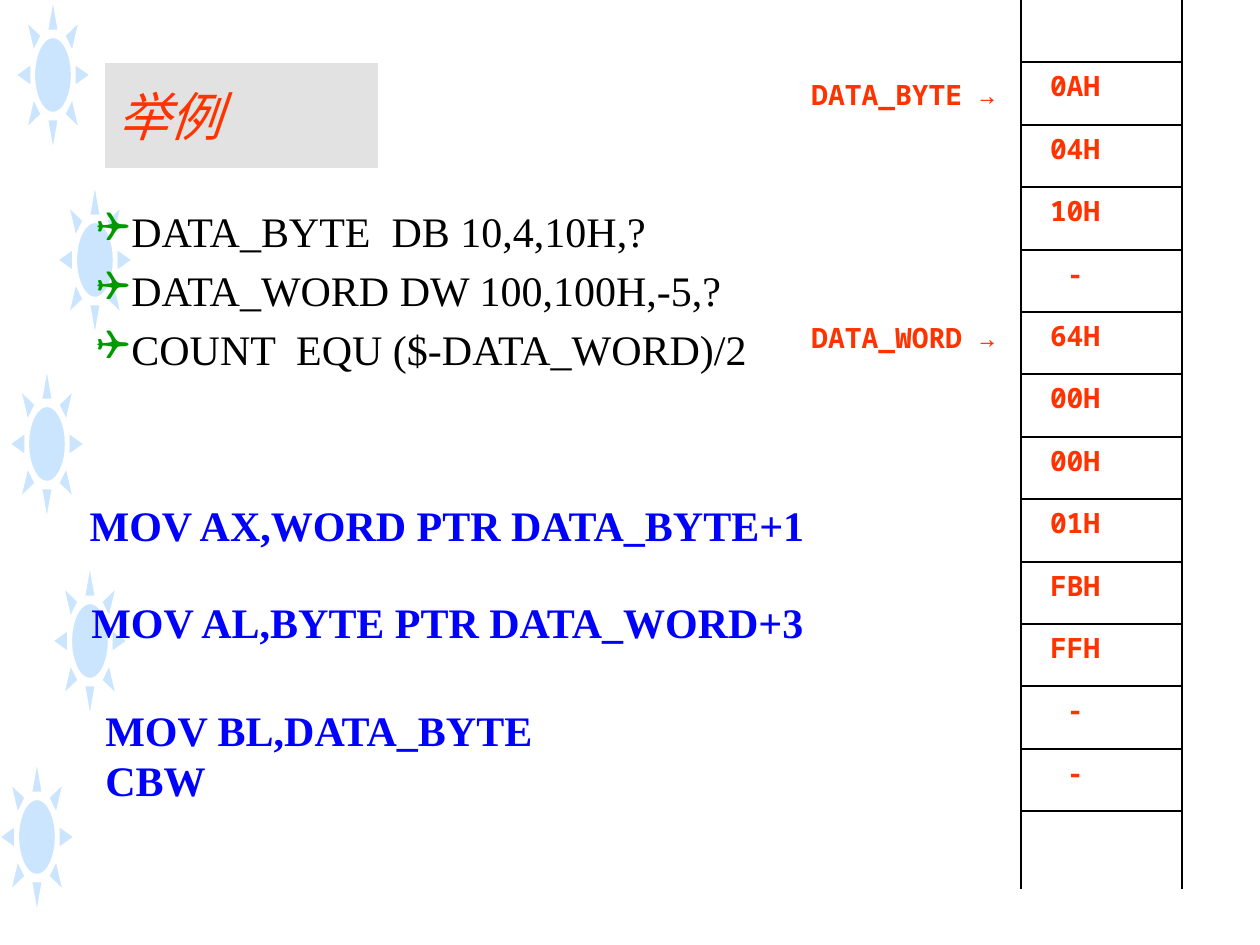
from lxml.etree import SubElement
from pptx import Presentation
from pptx.dml.color import RGBColor
from pptx.enum.shapes import MSO_CONNECTOR, MSO_SHAPE
from pptx.enum.text import MSO_ANCHOR, PP_ALIGN
from pptx.oxml.ns import qn
from pptx.util import Pt

# Content
TITLE = "举例"
DEFINITIONS = [
    "DATA_BYTE  DB 10,4,10H,?",
    "DATA_WORD DW 100,100H,-5,?",
    "COUNT  EQU ($-DATA_WORD)/2",
]
MEMORY = ["0AH", "04H", "10H", "-", "64H", "00H",
          "00H", "01H", "FBH", "FFH", "-", "-"]
LABELS = [("DATA_BYTE →", 71), ("DATA_WORD →", 314)]
CENTRED_CODE = [
    ("MOV AX,WORD PTR DATA_BYTE+1", (72, 493, 750, 63)),
    ("MOV AL,BYTE PTR DATA_WORD+3", (74, 590, 747, 63)),
]
LAST_CODE = ["MOV BL,DATA_BYTE", "CBW"]
SUNS = [(16, 0), (58, 185), (10, 369), (53, 566), (0, 762)]

# Geometry in px and look
PX = 914400 // 126
STACK_LEFT, STACK_WIDTH = 1021, 161
ROW_HEIGHT = 62.4
TAIL = 78
CHAR = 17
COLORS = {"sun": "99CCFF", "white": "FFFFFF", "title": "B2B2B2",
          "red": "FF3300", "green": "009900", "blue": "0000FF",
          "black": "000000"}
SERIF, MONO = "Times New Roman", "Noto Sans Mono"

deck = Presentation()
deck.slide_width, deck.slide_height = 1260 * PX, 945 * PX
page = deck.slides.add_slide(deck.slide_layouts[6])


def rgb(name):
    return RGBColor.from_string(COLORS[name])


def add_box(kind, area, fill=None, opacity=100, line=None, weight=1):
    box = page.shapes.add_shape(kind, *(v * PX for v in area))
    box.shadow.inherit = False
    if fill:
        box.fill.solid()
        box.fill.fore_color.rgb = rgb(fill)
        if opacity < 100:
            color = box.fill._xPr.find(qn("a:solidFill"))[0]
            SubElement(color, qn("a:alpha"), val=str(opacity * 1000))
    else:
        box.fill.background()
    if line:
        box.line.color.rgb = rgb(line)
        box.line.width = Pt(weight)
    else:
        box.line.fill.background()
    return box


def add_bullet(para, symbol, color, indent):
    props = para._p.get_or_add_pPr()
    props.set("marL", str(indent * PX))
    props.set("indent", str(-indent * PX))
    bullet_color = SubElement(props, qn("a:buClr"))
    SubElement(bullet_color, qn("a:srgbClr"), val=COLORS[color])
    SubElement(props, qn("a:buChar"), char=symbol)


def write(lines, area=None, box=None, font=SERIF, size=24, color="black",
          bold=False, italic=False, align=PP_ALIGN.LEFT, wrap=True,
          anchor=MSO_ANCHOR.TOP, inset=None, after=0, bullet=None):
    if box is None:
        box = page.shapes.add_textbox(*(v * PX for v in area))
    frame = box.text_frame
    frame.word_wrap = wrap
    frame.vertical_anchor = anchor
    if inset is not None:
        frame.margin_left = inset * PX
    for number, line in enumerate(lines):
        para = frame.add_paragraph() if number else frame.paragraphs[0]
        para.alignment = align
        para.space_after = Pt(after)
        if bullet:
            add_bullet(para, bullet, "green", 35)
        span = para.add_run()
        span.text = line
        span.font.name, span.font.size = font, Pt(size)
        span.font.bold, span.font.italic = bold, italic
        span.font.color.rgb = rgb(color)


# Suns down the left edge
for left, top in SUNS:
    add_box(MSO_SHAPE.SUN, (left, top, 74, 150), fill="sun", opacity=50,
            line="white", weight=0.75)

# Title and data definitions
title_box = add_box(MSO_SHAPE.RECTANGLE, (105, 63, 273, 105),
                    fill="title", opacity=37)
write([TITLE], box=title_box, size=30, color="red", italic=True,
      anchor=MSO_ANCHOR.MIDDLE)
write(DEFINITIONS, (84, 199, 1071, 567), after=5, bullet="✈")

# Memory cells
edges = [round(ROW_HEIGHT * (row + 1)) for row in range(len(MEMORY) + 1)]
for value, top, bottom in zip(MEMORY, edges, edges[1:]):
    cell = add_box(MSO_SHAPE.RECTANGLE,
                   (STACK_LEFT, top, STACK_WIDTH, bottom - top), line="black")
    indent = 2 * CHAR if value == "-" else CHAR
    write([value], box=cell, font=MONO, size=16, color="red", bold=True,
          inset=12 + indent)

# Open ends of the memory column
for top in (0, edges[-1]):
    for x in (STACK_LEFT + STACK_WIDTH, STACK_LEFT):
        side = page.shapes.add_connector(
            MSO_CONNECTOR.STRAIGHT, x * PX, top * PX, x * PX, (top + TAIL) * PX)
        side.line.color.rgb = rgb("black")
        side.line.width = Pt(1)
        SubElement(side._element.spPr, qn("a:effectLst"))

# Variable labels
for label, top in LABELS:
    write([label], (799, top, 354, 47), font=MONO, size=16, color="red",
          bold=True)

# Instructions
for code, area in CENTRED_CODE:
    write([code], area, color="blue", bold=True, align=PP_ALIGN.CENTER,
          wrap=False)
write(LAST_CODE, (93, 698, 785, 115), color="blue", bold=True)

deck.save("out.pptx")
